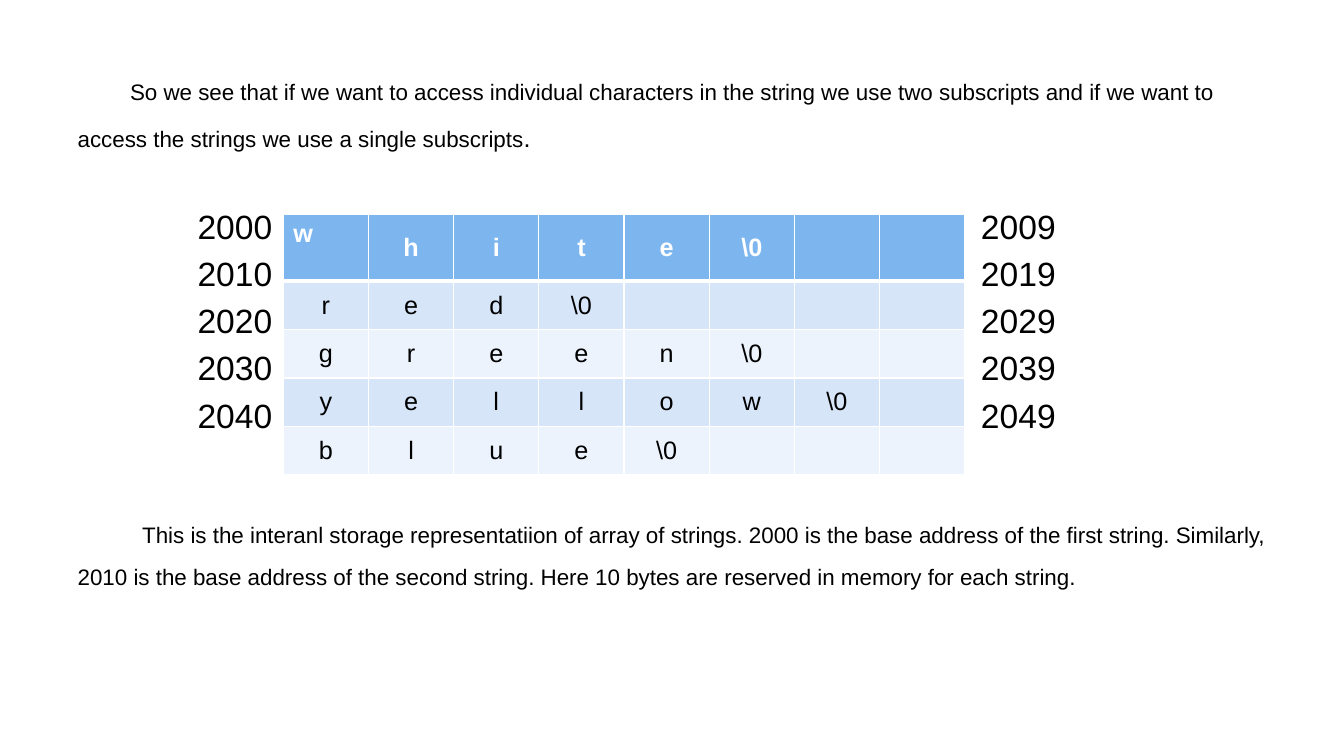
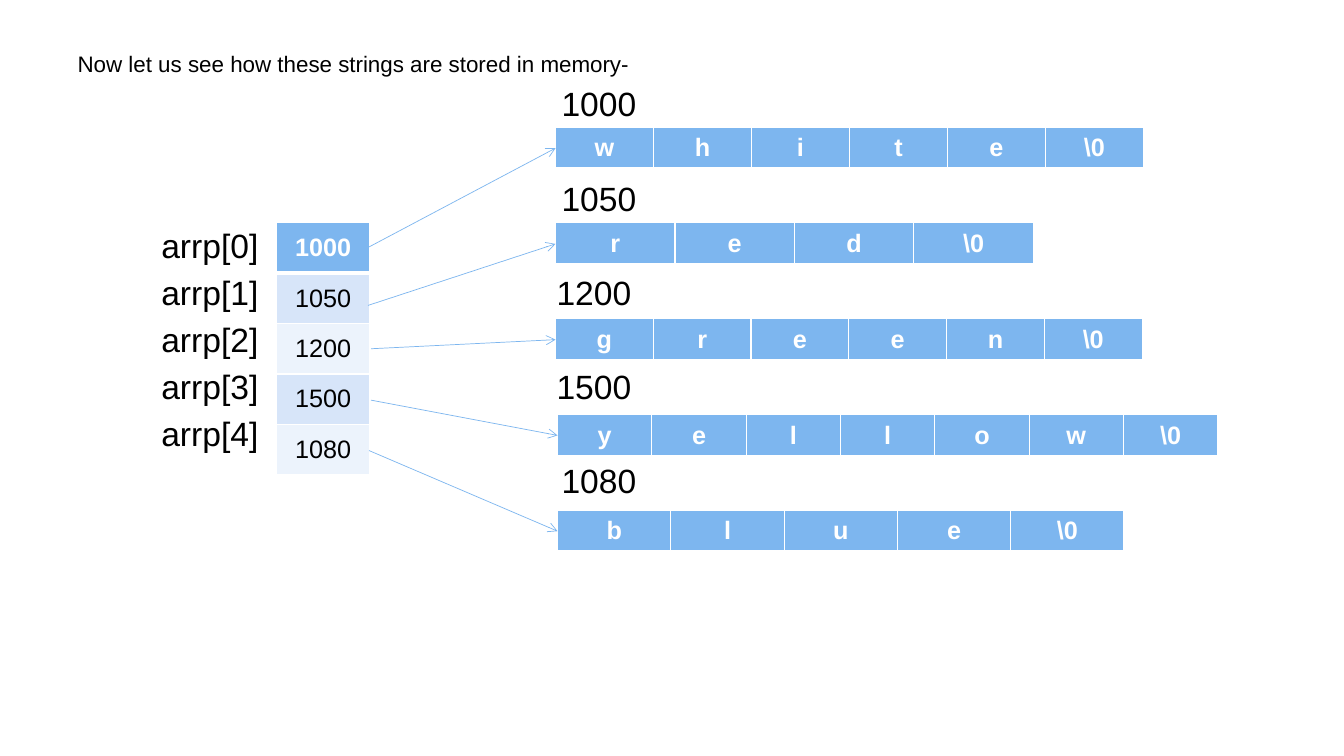
import dataclasses
import pptx
import pptx.util
import pptx.dml.color
import pptx.enum.shapes
import pptx.enum.text
import pptx.oxml
import pptx.oxml.ns
from lxml import etree

In, Pt = pptx.util.Inches, pptx.util.Pt
qn = pptx.oxml.ns.qn
ALIGN, ANCHOR = pptx.enum.text.PP_ALIGN, pptx.enum.text.MSO_ANCHOR


@dataclasses.dataclass(frozen=True)
class Theme:
    font: str = "Arial"
    ink: str = "000000"
    white: str = "FFFFFF"
    accent: str = "7DB6EF"
    bands: tuple = ("D7E5F9", "ECF3FC")
    prose: int = 16
    cell: int = 18
    label: int = 24
    line: float = 33.6
    thin: float = 1
    thick: float = 3
    arrow: float = 0.5


T = Theme()
LINE = T.line / 72
WORDS = ["white", "red", "green", "yellow", "blue"]
END = "\\0"
CHAR_COLS = 8

ACCESS = [
    ("So we see that if we want to access individual characters in the string we use two "
     "subscripts and if we want to access the strings we use a single subscripts", T.prose),
    (".", T.cell),
]
STORAGE = [
    ("This is the interanl storage representatiion of array of strings. 2000 is the base "
     "address of the first string. Similarly, 2010 is the base address of the second string. "
     "Here 10 bytes are reserved in memory for each string.", T.prose),
]
INTRO = [("Now let us see how these strings are stored in memory-", T.prose)]

FIRST_BYTES = [str(2000 + 10 * i) for i in range(len(WORDS))]
LAST_BYTES = [str(2009 + 10 * i) for i in range(len(WORDS))]
RANGE_TOP, FIRST_LEFT, LAST_LEFT = 1.98, 1.96, 9.73

POINTERS = [f"arrp[{i}]" for i in range(len(WORDS))]
ADDRESSES = ["1000", "1050", "1200", "1500", "1080"]
ADDRESS_LEFT = [5.57, 5.57, 5.52, 5.52, 5.57]
LABEL_TOP, POINTER_LEFT, POINTER_LINE = 0.76, 1.6, 3
NUMBER_WIDTH, POINTER_WIDTH = 0.8, 1.1

STRING_LEFT = [5.51, 5.51, 5.51, 5.53, 5.53]
STRING_WIDTH = [5.83, 4.74, 5.82, 6.55, 5.62]
STRING_TOP, STRING_STEP, STRING_ROW = 1.26, 0.95, 0.42
ARROW_START = [(3.66, 2.45), (3.65, 3.03), (3.68, 3.46), (3.68, 3.97), (3.66, 4.47)]


def rgb(value):
    return pptx.dml.color.RGBColor.from_string(value)


def add_run(p, text, size, color, bold=False):
    r = p.add_run()
    r.text = text
    r.font.name, r.font.size, r.font.bold = T.font, Pt(size), bold
    r.font.color.rgb = rgb(color)


def set_frame(tf, left, right, top):
    tf.word_wrap = True
    tf.auto_size = pptx.enum.text.MSO_AUTO_SIZE.NONE
    tf.vertical_anchor = ANCHOR.TOP
    tf.margin_left, tf.margin_right = In(left), In(right)
    tf.margin_top, tf.margin_bottom = In(top), 0


def add_slide(top, height, margin_top):
    s = prs.slides.add_slide(prs.slide_layouts[1])
    title = s.shapes.title.element
    title.getparent().remove(title)
    body = s.placeholders[1]
    body.left, body.top, body.width, body.height = In(0.67), In(top), In(12), In(height)
    set_frame(body.text_frame, 0.1, 0.05, margin_top)
    return s, body.text_frame


def add_line(tf, runs, line=T.line, before=0, indent=0):
    p = tf.paragraphs[0]
    if p.runs:
        p = tf.add_paragraph()
    p.alignment = ALIGN.LEFT
    p.line_spacing, p.space_before, p.space_after = Pt(line), Pt(before), Pt(0)
    pPr = p._p.get_or_add_pPr()
    pPr.set("marL", "0")
    pPr.set("indent", str(In(indent)))
    etree.SubElement(pPr, qn("a:buNone"))
    for text, size in runs:
        add_run(p, text, size, T.ink)


def add_labels(s, left, top, width, labels):
    box = s.shapes.add_textbox(In(left), In(top), In(width), In(LINE * len(labels)))
    set_frame(box.text_frame, 0, 0, 0)
    for label in labels:
        add_line(box.text_frame, [(label, T.label)])


def set_borders(cell, bottom):
    tcPr = cell._tc.get_or_add_tcPr()
    widths = {"a:lnL": T.thin, "a:lnR": T.thin, "a:lnT": T.thin, "a:lnB": bottom}
    for i, (tag, width) in enumerate(widths.items()):
        ln = etree.Element(qn(tag), w=str(Pt(width)))
        fill = etree.SubElement(ln, qn("a:solidFill"))
        etree.SubElement(fill, qn("a:srgbClr"), val=T.white)
        tcPr.insert(i, ln)


def add_grid(s, left, top, width, heights, rows):
    n = len(rows[0])
    table = s.shapes.add_table(len(rows), n, In(left), In(top),
                               In(width), In(sum(heights))).table
    for column in table.columns:
        column.width = In(width / n)
    for i, (height, row) in enumerate(zip(heights, rows)):
        table.rows[i].height = In(height)
        head = i == 0
        for j, text in enumerate(row):
            cell = table.cell(i, j)
            cell.fill.solid()
            cell.fill.fore_color.rgb = rgb(T.accent if head else T.bands[(i - 1) % 2])
            set_borders(cell, T.thick if head else T.thin)
            cell.vertical_anchor = ANCHOR.MIDDLE
            p = cell.text_frame.paragraphs[0]
            p.alignment = ALIGN.CENTER
            if text:
                add_run(p, text, T.cell, T.white if head else T.ink, head)
    return table


def add_arrow(s, start, end):
    c = s.shapes.add_connector(pptx.enum.shapes.MSO_CONNECTOR.STRAIGHT,
                               *(In(v) for v in start + end))
    c.line.color.rgb = rgb(T.accent)
    c.line.width = Pt(T.arrow)
    etree.SubElement(c.line._get_or_add_ln(), qn("a:tailEnd"), type="arrow")
    etree.SubElement(c._element.spPr, qn("a:effectLst"))


def build_array_slide():
    s, tf = add_slide(0.41, 6.68, 0.17)
    add_line(tf, ACCESS, indent=0.52)
    add_line(tf, STORAGE, line=30, before=252.2, indent=0.64)
    add_labels(s, FIRST_LEFT, RANGE_TOP, NUMBER_WIDTH, FIRST_BYTES)
    add_labels(s, LAST_LEFT, RANGE_TOP, NUMBER_WIDTH, LAST_BYTES)
    rows = [(list(word) + [END] + [""] * CHAR_COLS)[:CHAR_COLS] for word in WORDS]
    table = add_grid(s, 2.81, 2.13, 6.76, [0.66] + [0.48] * 4, rows)
    corner = table.cell(0, 0)
    corner.vertical_anchor = ANCHOR.TOP
    corner.text_frame.paragraphs[0].alignment = ALIGN.LEFT


def build_pointer_slide():
    s, tf = add_slide(0.32, 6.81, 0)
    add_line(tf, INTRO, line=32)
    add_labels(s, POINTER_LEFT, LABEL_TOP + POINTER_LINE * LINE, POINTER_WIDTH, POINTERS)
    add_grid(s, 2.74, 2.21, 0.93, [0.5] * len(ADDRESSES), [[a] for a in ADDRESSES])
    for i, word in enumerate(WORDS):
        left, top = STRING_LEFT[i], STRING_TOP + i * STRING_STEP
        add_labels(s, ADDRESS_LEFT[i], LABEL_TOP + 2 * i * LINE, NUMBER_WIDTH, [ADDRESSES[i]])
        add_grid(s, left, top, STRING_WIDTH[i], [STRING_ROW], [list(word) + [END]])
        add_arrow(s, ARROW_START[i], (left, top + STRING_ROW / 2))


prs = pptx.Presentation()
prs.slide_width, prs.slide_height = In(13.33), In(7.5)
build_array_slide()
build_pointer_slide()
prs.save("out.pptx")
